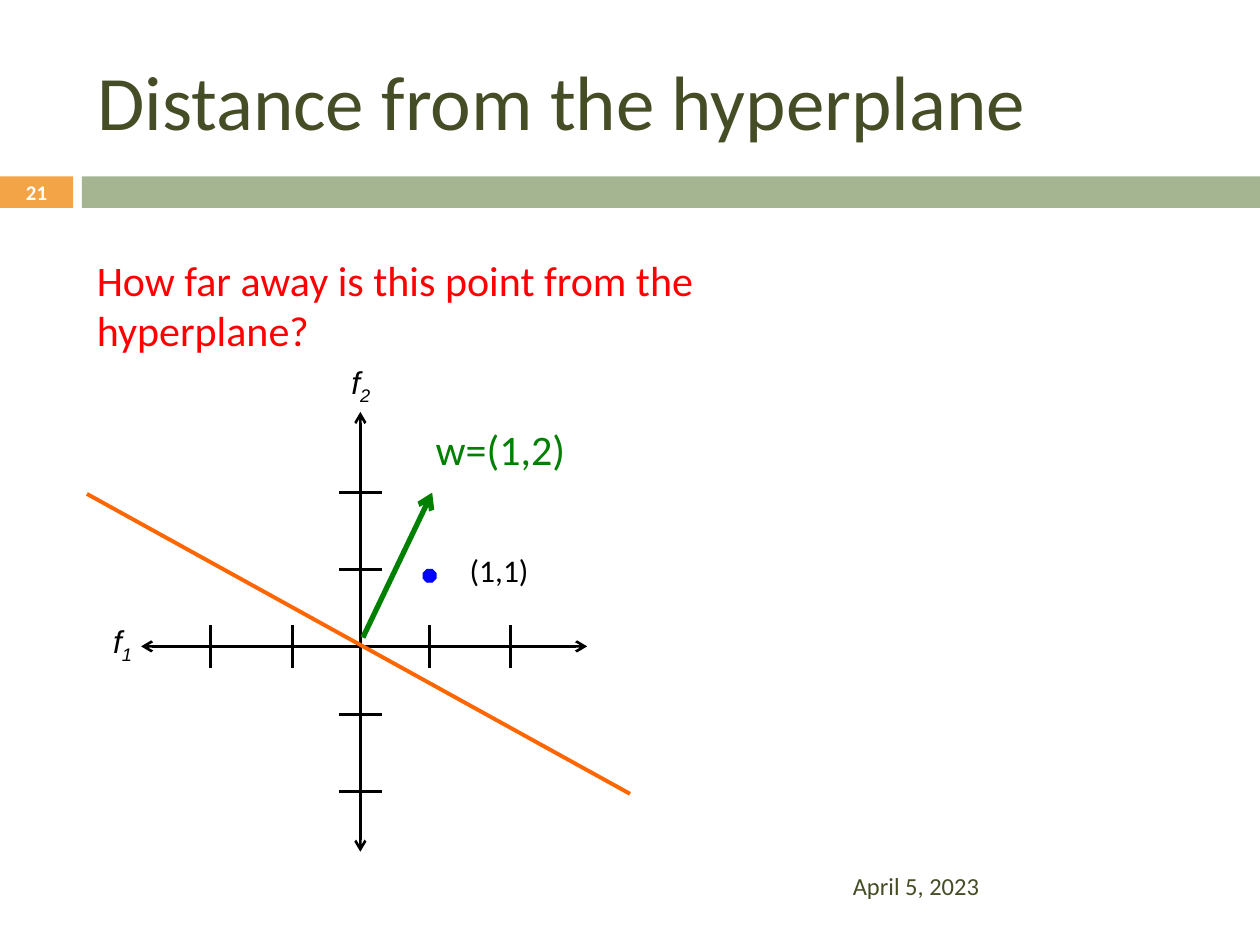
import pptx
import pptx.util
import pptx.dml.color
import pptx.enum.shapes
import pptx.enum.text
import pptx.oxml.ns
import lxml.etree
from dataclasses import dataclass


@dataclass(frozen=True)
class Theme:
    font: str = "Calibri"
    axis_font: str = "Arial"
    olive: str = "444D26"
    sage: str = "A5B592"
    orange: str = "F3A447"
    white: str = "FFFFFF"
    black: str = "000000"
    red: str = "FF0000"
    green: str = "008000"
    blue: str = "0000FF"
    plane: str = "FF6600"
    title_size: float = 44
    heading_size: float = 24
    label_size: float = 18
    date_size: float = 14
    number_size: float = 11.9


THEME = Theme()
TITLE = "Distance from the hyperplane"
SLIDE_NUMBER = "21"
TEXTS = [
    ("How far away is this point from the hyperplane?", (0.67, 1.97, 6.3, 0.9),
     THEME.heading_size, THEME.red),
    ("w=(1,2)", (3.36, 3.31, 1.28, 0.5), THEME.heading_size, THEME.green),
    ("(1,1)", (3.63, 4.32, 0.8, 0.4), THEME.label_size, THEME.black),
    ("April 5, 2023", (6.67, 6.83, 2.92, 0.4), THEME.date_size, THEME.olive),
]
AXIS_LABELS = [("1", (0.8, 4.89, 0.5, 0.4)), ("2", (2.69, 2.83, 0.5, 0.4))]
ORIGIN_X, ORIGIN_Y = 2.86, 5.13
TICK_HALF = 0.17
HORIZONTAL_TICKS = [1.67, 2.32, 3.41, 4.05]
VERTICAL_TICKS = [3.91, 4.52, 5.67, 6.28]
AXES = [((ORIGIN_X, 6.76), (ORIGIN_X, 3.27)), ((1.12, ORIGIN_Y), (4.66, ORIGIN_Y))]
HYPERPLANE = ((0.69, 3.92), (5, 6.3))
WEIGHT_VECTOR = ((2.88, 5.06), (3.43, 3.91))
POINT_BOX = (3.36, 4.52, 0.1, 0.1)
BAR_TOP, BAR_HEIGHT = 1.4, 0.25

Inches = pptx.util.Inches
SHAPES = pptx.enum.shapes.MSO_SHAPE
ANCHOR = pptx.enum.text.MSO_ANCHOR
ALIGN = pptx.enum.text.PP_ALIGN


def rgb(color):
    return pptx.dml.color.RGBColor.from_string(color)


def format_run(run, size, color, font=THEME.font, bold=False, italic=False):
    run.font.name = font
    run.font.size = pptx.util.Pt(size)
    run.font.color.rgb = rgb(color)
    run.font.bold = bold
    run.font.italic = italic


def add_text(slide, text, box, size, color):
    frame = slide.shapes.add_textbox(*map(Inches, box)).text_frame
    frame.word_wrap = True
    frame.text = text
    format_run(frame.paragraphs[0].runs[0], size, color)
    return frame


def add_axis_label(slide, index, box):
    frame = add_text(slide, "f", box, THEME.label_size, THEME.black)
    paragraph = frame.paragraphs[0]
    subscript = paragraph.add_run()
    subscript.text = index
    for run in paragraph.runs:
        format_run(run, THEME.label_size, THEME.black, THEME.axis_font, italic=True)
    subscript._r.get_or_add_rPr().set("baseline", "-25000")


def add_shape(slide, kind, box, fill, outline=None):
    shape = slide.shapes.add_shape(kind, *map(Inches, box))
    shape.shadow.inherit = False
    shape.fill.solid()
    shape.fill.fore_color.rgb = rgb(fill)
    if outline:
        shape.line.color.rgb = rgb(outline)
        shape.line.width = pptx.util.Pt(0.75)
    else:
        shape.line.fill.background()
    return shape


def add_line(slide, start, end, color, width, arrows=()):
    connector = slide.shapes.add_connector(
        pptx.enum.shapes.MSO_CONNECTOR.STRAIGHT, *map(Inches, (*start, *end)))
    connector.line.color.rgb = rgb(color)
    connector.line.width = pptx.util.Pt(width)
    line = connector.line._get_or_add_ln()
    for arrow in arrows:
        lxml.etree.SubElement(line, pptx.oxml.ns.qn(f"a:{arrow}"), type="arrow")
    properties = connector._element.spPr
    lxml.etree.SubElement(properties, pptx.oxml.ns.qn("a:effectLst"))


def add_title(slide):
    title = slide.shapes.title
    title.left, title.top, title.width, title.height = map(Inches, (0.67, 0.25, 8.92, 1.08))
    frame = title.text_frame
    frame.text = TITLE
    frame.auto_size = pptx.enum.text.MSO_AUTO_SIZE.NONE
    frame.vertical_anchor = ANCHOR.MIDDLE
    frame.paragraphs[0].alignment = ALIGN.LEFT
    format_run(frame.paragraphs[0].runs[0], THEME.title_size, THEME.olive)


def add_header_bar(slide):
    badge = add_shape(slide, SHAPES.RECTANGLE, (0, BAR_TOP, 0.58, BAR_HEIGHT), THEME.orange)
    add_shape(slide, SHAPES.RECTANGLE, (0.65, BAR_TOP, 9.35, BAR_HEIGHT), THEME.sage)
    frame = badge.text_frame
    frame.margin_top = frame.margin_bottom = 0
    frame.vertical_anchor = ANCHOR.MIDDLE
    frame.text = SLIDE_NUMBER
    frame.paragraphs[0].alignment = ALIGN.CENTER
    format_run(frame.paragraphs[0].runs[0], THEME.number_size, THEME.white, bold=True)


def add_plot(slide):
    for start, end in AXES:
        add_line(slide, start, end, THEME.black, 1.5, ("headEnd", "tailEnd"))
    ticks = [((x, ORIGIN_Y - TICK_HALF), (x, ORIGIN_Y + TICK_HALF)) for x in HORIZONTAL_TICKS]
    ticks += [((ORIGIN_X - TICK_HALF, y), (ORIGIN_X + TICK_HALF, y)) for y in VERTICAL_TICKS]
    for start, end in ticks:
        add_line(slide, start, end, THEME.black, 1.5)
    add_line(slide, *HYPERPLANE, THEME.plane, 2.25)
    add_line(slide, *WEIGHT_VECTOR, THEME.green, 3, ("tailEnd",))
    add_shape(slide, SHAPES.OCTAGON, POINT_BOX, THEME.blue, THEME.blue)
    for index, box in AXIS_LABELS:
        add_axis_label(slide, index, box)


def main():
    presentation = pptx.Presentation()
    presentation.slide_width, presentation.slide_height = Inches(10), Inches(7.5)
    slide = presentation.slides.add_slide(presentation.slide_layouts.get_by_name("Title Only"))
    add_title(slide)
    add_header_bar(slide)
    add_plot(slide)
    for text in TEXTS:
        add_text(slide, *text).vertical_anchor = ANCHOR.MIDDLE
    presentation.save("out.pptx")


if __name__ == "__main__":
    main()
